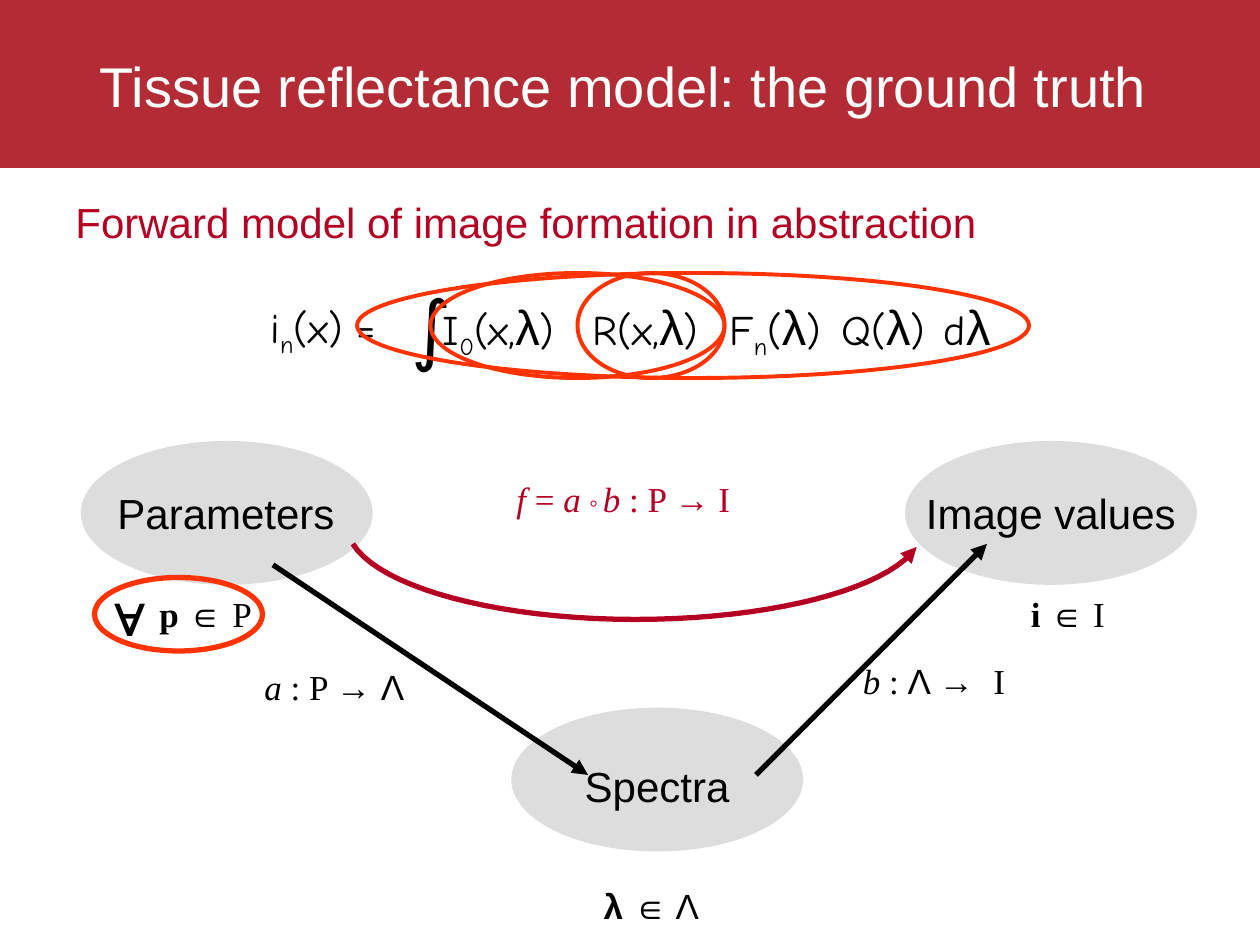
from dataclasses import dataclass
from functools import partial
from typing import Optional

from lxml.etree import SubElement
from pptx import Presentation
from pptx.dml.color import RGBColor
from pptx.enum.shapes import MSO_CONNECTOR, MSO_SHAPE
from pptx.enum.text import MSO_ANCHOR, MSO_AUTO_SIZE, PP_ALIGN
from pptx.oxml.ns import qn
from pptx.util import Inches, Pt

BANNER_RED = RGBColor(0xB3, 0x2B, 0x35)
DARK_RED = RGBColor(0xB4, 0x00, 0x22)
ORANGE = RGBColor(0xFF, 0x33, 0x00)
GREY = RGBColor(0xDD, 0xDD, 0xDD)
BLACK = RGBColor(0, 0, 0)
WHITE = RGBColor(0xFF, 0xFF, 0xFF)

# The slide is a grid of 120 columns by 90 rows
COLUMNS, ROWS = 120, 90
WIDTH, HEIGHT = Inches(10), Inches(7.5)


@dataclass
class Run:
    text: str
    size: float = 24
    name: str = "Arial"
    bold: bool = False
    italic: bool = False
    baseline: int = 0


@dataclass
class Label:
    box: tuple
    runs: list
    color: RGBColor = BLACK
    wrap: bool = True
    fill: Optional[RGBColor] = None
    line: Optional[RGBColor] = None


Sans = partial(Run, size=20)
Serif = partial(Run, size=20, name="Times New Roman")
Variable = partial(Serif, italic=True)
Comic = partial(Run, name="Comic Neue")
Subscript = partial(Comic, baseline=-25)
LAMBDA = Run("λ", 28)
END_SPACE = Run(" ", 25)

NODE_SIZE = (27.8, 13.7)
NODES = [(7.7, 42), (48.7, 67.4), (86.2, 42)]
NODE_LABELS = [
    Label((10, 45.8, 23.2, 6), [Run("Parameters")], wrap=False, fill=GREY),
    Label((54.5, 71.8, 16.2, 6), [Run("Spectra")], wrap=False, fill=GREY),
    Label((87, 45.8, 26.3, 6), [Run("Image values")], wrap=False),
]
MEMBER_LABELS = [
    Label((14, 55, 13, 6.2), [Serif("p ", bold=True), Sans("∈ "), Serif("P"), END_SPACE]),
    Label((56.3, 82.8, 12.5, 6.2), [Sans("λ ", bold=True), Sans("∈ Λ"), END_SPACE]),
    Label((97, 55, 11, 6.2), [Serif("i ", bold=True), Sans("∈"), Serif(" I"), END_SPACE]),
]
MAP_LABELS = [
    Label((24, 62, 20, 6.2), [Variable("a"), Serif(" : P "), Sans("→ Λ"), END_SPACE]),
    Label((81, 62.2, 19, 6), [Variable("b"), Serif(" : "), Sans("Λ →  "), Serif("I")]),
    Label((48, 44.9, 30, 6.1),
          [Variable("f"), Serif(" = "), Variable("a "), Serif("° ", baseline=-6),
           Variable("b"), Serif(" : P "), Sans("→"), Serif(" I")],
          DARK_RED, fill=WHITE, line=WHITE),
]
ARROWS = [(26, 53.8, 56, 73.8), (72, 73.8, 94, 51.8)]
# Cubic segments of the curved arrow, in columns and rows
CURVE = [
    [(33.6, 51.8), (36.2, 56), (47.5, 59), (60.5, 59)],
    [(60.5, 59), (73.3, 59), (84.4, 56.2), (87.3, 52.1)],
]

# Terms of the integral: left, width, runs
TERM_TOP, TERM_HEIGHT = 27.6, 6.8
TERMS = [
    (41, 15.1, [Comic("I"), Subscript("0"), Comic("(x,"), LAMBDA, Comic(")")]),
    (55.3, 13.9, [Comic("R(x,"), LAMBDA, Comic(")")]),
    (79, 11.4, [Comic("Q("), LAMBDA, Comic(")")]),
    (68.3, 11.8, [Comic("F"), Subscript("n"), Comic("("), LAMBDA, Comic(")")]),
    (88.7, 7.3, [Comic("d"), LAMBDA]),
]
EQUATION_LABELS = [
    Label((left, TERM_TOP, width, TERM_HEIGHT), runs, wrap=False)
    for left, width, runs in TERMS
] + [
    Label((38, 26, 4.4, 10), [Comic("∫", size=44)], wrap=False),
    Label((24.6, 28.1, 13.4, 6), [Comic("i"), Subscript("n"), Comic("(x) =")], wrap=False),
]
TERM_RINGS = [(55, 26, 14, 10), (41, 26, 28, 10), (34, 26, 64, 10)]
HEADING = Label((6, 18.1, 93, 6),
                [Run("Forward model of image formation in abstraction")], DARK_RED)
FOR_ALL = Label((9.6, 54.7, 6.2, 7.6), [Serif("∀", size=32, bold=True)], wrap=False)


def place(*lengths: float) -> list:
    """Turn alternating columns and rows into slide lengths."""
    units = (WIDTH / COLUMNS, HEIGHT / ROWS)
    return [round(length * units[i % 2]) for i, length in enumerate(lengths)]


def set_values(target, values: dict) -> None:
    for attribute, value in values.items():
        setattr(target, attribute, value)


def write(paragraph, runs: list, color: RGBColor) -> None:
    for item in runs:
        run = paragraph.add_run()
        run.text = item.text
        set_values(run.font, {"size": Pt(item.size), "name": item.name,
                              "bold": item.bold, "italic": item.italic})
        run.font.color.rgb = color
        if item.baseline:
            run._r.get_or_add_rPr().set("baseline", str(item.baseline * 1000))


def paint(shape, fill: Optional[RGBColor], line: Optional[RGBColor], width: float) -> None:
    if fill is None:
        shape.fill.background()
    else:
        shape.fill.solid()
        shape.fill.fore_color.rgb = fill
    if line is None:
        shape.line.fill.background()
    else:
        shape.line.color.rgb = line
        shape.line.width = Pt(width)


def add_shape(slide, kind, box: tuple, fill=None, line=None, width: float = 1) -> None:
    shape = slide.shapes.add_shape(kind, *place(*box))
    shape.shadow.inherit = False
    paint(shape, fill, line, width)


def add_label(slide, label: Label) -> None:
    shape = slide.shapes.add_textbox(*place(*label.box))
    paint(shape, label.fill, label.line, 0.75)
    set_values(shape.text_frame, {"word_wrap": label.wrap,
                                  "auto_size": MSO_AUTO_SIZE.SHAPE_TO_FIT_TEXT})
    write(shape.text_frame.paragraphs[0], label.runs, label.color)


def finish_arrow(shape, color: RGBColor) -> None:
    shape.line.color.rgb = color
    shape.line.width = Pt(3)
    SubElement(shape.line._get_or_add_ln(), qn("a:tailEnd"), type="triangle")


def add_arrow(slide, ends: tuple) -> None:
    arrow = slide.shapes.add_connector(MSO_CONNECTOR.STRAIGHT, *place(*ends))
    finish_arrow(arrow, BLACK)
    SubElement(arrow._element.spPr, qn("a:effectLst"))


def curve_point(segment: list, t: float) -> tuple:
    weights = ((1 - t) ** 3, 3 * t * (1 - t) ** 2, 3 * t * t * (1 - t), t ** 3)
    return tuple(place(*(sum(w * point[axis] for w, point in zip(weights, segment))
                         for axis in (0, 1))))


def add_curved_arrow(slide, segments: list, steps: int = 20) -> None:
    points = [curve_point(segment, step / steps)
              for segment in segments for step in range(1, steps + 1)]
    builder = slide.shapes.build_freeform(*curve_point(segments[0], 0))
    builder.add_line_segments(points, close=False)
    curve = builder.convert_to_shape()
    curve.shadow.inherit = False
    curve.fill.background()
    finish_arrow(curve, DARK_RED)


def add_title(slide, text: str) -> None:
    title = slide.shapes.title
    set_values(title, dict(zip(("left", "top", "width", "height"), place(9, 0.6, 102, 15))))
    set_values(title.text_frame, {
        "margin_left": 0, "margin_right": Inches(0.1), "margin_top": Inches(0.05),
        "margin_bottom": Inches(0.05), "vertical_anchor": MSO_ANCHOR.MIDDLE,
        "word_wrap": True, "auto_size": MSO_AUTO_SIZE.NONE})
    paragraph = title.text_frame.paragraphs[0]
    paragraph.alignment = PP_ALIGN.CENTER
    write(paragraph, [Run(text, 32)], WHITE)
    # Bring the title in front of the banner
    slide.shapes._spTree.append(title._element)


def main() -> None:
    presentation = Presentation()
    set_values(presentation, {"slide_width": WIDTH, "slide_height": HEIGHT})
    slide = presentation.slides.add_slide(presentation.slide_layouts[5])

    # Banner and headings
    add_shape(slide, MSO_SHAPE.RECTANGLE, (0, 0, COLUMNS, 16), BANNER_RED)
    add_title(slide, "Tissue reflectance model: the ground truth")
    add_label(slide, HEADING)

    # Spaces and the mappings between them
    for corner in NODES:
        add_shape(slide, MSO_SHAPE.OVAL, corner + NODE_SIZE, GREY)
    for label in NODE_LABELS + MEMBER_LABELS:
        add_label(slide, label)
    for ends in ARROWS:
        add_arrow(slide, ends)
    add_curved_arrow(slide, CURVE)

    # Formulas, then the rings around their terms
    for label in MAP_LABELS + EQUATION_LABELS + [FOR_ALL]:
        add_label(slide, label)
    for ring in TERM_RINGS:
        add_shape(slide, MSO_SHAPE.OVAL, ring, line=ORANGE, width=2.25)
    add_shape(slide, MSO_SHAPE.OVAL, (9, 55, 16, 7), line=ORANGE, width=3)

    presentation.save("out.pptx")


if __name__ == "__main__":
    main()
